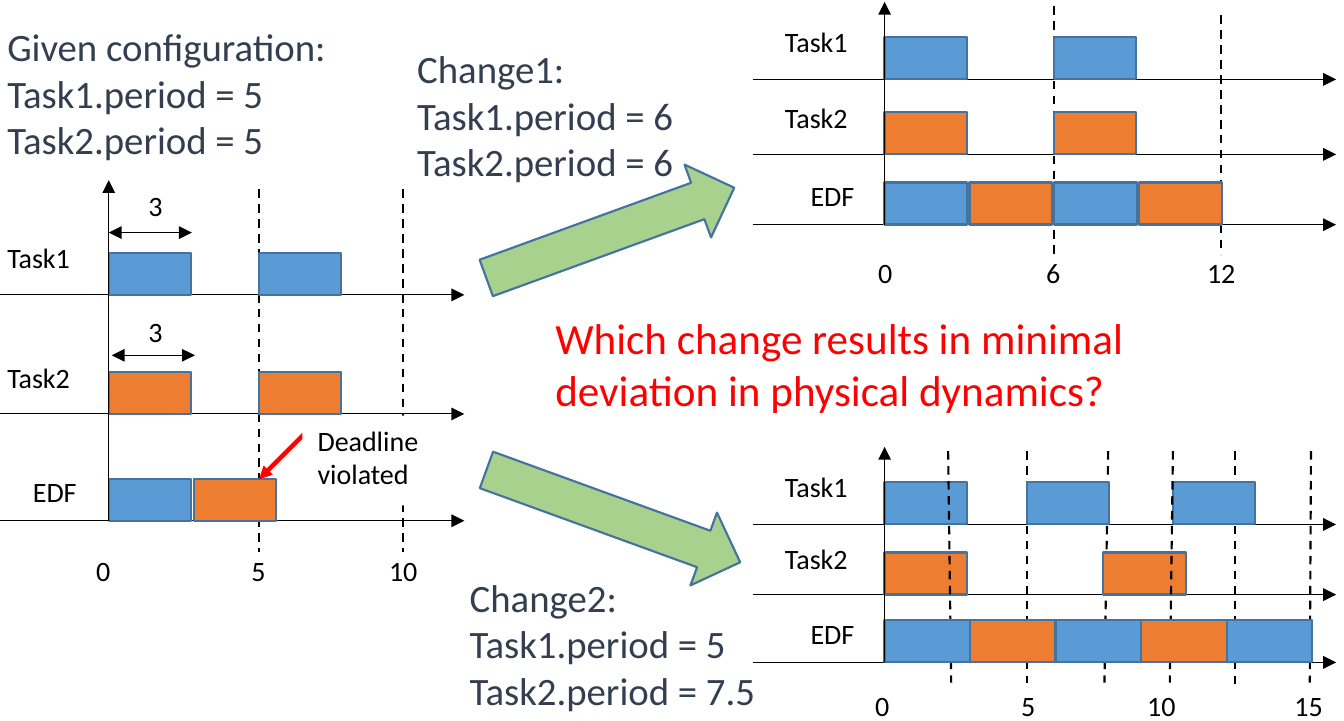
from lxml import etree
from pptx import Presentation
from pptx.dml.color import RGBColor
from pptx.enum.dml import MSO_LINE
from pptx.enum.shapes import MSO_CONNECTOR, MSO_SHAPE
from pptx.enum.text import PP_ALIGN
from pptx.oxml.ns import qn
from pptx.util import Cm, Pt

RECT = MSO_SHAPE.RECTANGLE
ARROW = MSO_SHAPE.RIGHT_ARROW
LINE = MSO_CONNECTOR.STRAIGHT
DASH = MSO_LINE.DASH
LEFT = PP_ALIGN.LEFT
MID = PP_ALIGN.CENTER


class Theme:
    font = "Calibri"
    blue = RGBColor.from_string("5B9BD5")
    orange = RGBColor.from_string("ED7D31")
    edge = RGBColor.from_string("43739E")
    green = RGBColor.from_string("A9D18E")
    slate = RGBColor.from_string("333F50")
    red = RGBColor.from_string("FF0000")
    black = RGBColor.from_string("000000")
    white = RGBColor.from_string("FFFFFF")
    small, body, large = Pt(13), Pt(18), Pt(20)
    thin, mid, thick = Pt(0.5), Pt(1), Pt(2)


def add_text(shapes, words, x, y, w, h, size=Theme.small, color=Theme.black, align=LEFT):
    box = shapes.add_textbox(Cm(x), Cm(y), Cm(w), Cm(h))
    frame = box.text_frame
    frame.word_wrap = True
    frame.text = words
    for para in frame.paragraphs:
        para.alignment = align
        para.font.name = Theme.font
        para.font.size = size
        para.font.color.rgb = color
    return box


def add_line(shapes, x1, y1, x2, y2, width=Theme.thin, color=Theme.black, dash=None, ends=()):
    line = shapes.add_connector(LINE, Cm(x1), Cm(y1), Cm(x2), Cm(y2))
    line.line.width = width
    line.line.color.rgb = color
    if dash:
        line.line.dash_style = dash
    props = line._element.spPr
    for end in ends:
        etree.SubElement(props.find(qn("a:ln")), qn(end), type="triangle")
    etree.SubElement(props, qn("a:effectLst"))


HEAD, TAIL = "a:headEnd", "a:tailEnd"
BAR = 0.69

plans = [
    dict(
        zero=14.48, left=12.32, right=21.87, top=0.03, rows=[1.3, 2.53, 3.68], label=12.6,
        tasks=[[14.48, 17.25], [14.48, 17.25]], slots=4, step=1.39, wide=1.35,
        back=[(17.25, 17.25, 0.1, 4.17), (19.99, 19.99, 0.25, 4.17)], front=[],
        ticks=[("0", 14.49), ("6", 17.24), ("12", 19.99)], foot=4.06,
    ),
    dict(
        zero=1.78, left=-0.38, right=7.6, top=2.95, rows=[4.83, 6.78, 8.53], label=-0.13,
        tasks=[[1.78, 4.24], [1.78, 4.24]], slots=2, step=1.39, wide=1.35,
        back=[(4.24, 4.24, 3.1, 9.04), (6.6, 6.6, 3.1, 9.04)], front=[],
        ticks=[("0", 1.69), ("5", 4.23), ("10", 6.6)], foot=8.94,
    ),
    dict(
        zero=14.48, left=12.32, right=21.87, top=7.32, rows=[8.59, 9.74, 10.85], label=12.6,
        tasks=[[14.48, 16.81, 19.2], [14.48, 18.06]], slots=5, step=1.4, wide=1.4,
        back=[(18.14, 18.08, 7.39, 11.18), (16.81, 16.81, 7.39, 11.18),
              (20.22, 20.22, 7.39, 11.3), (21.46, 21.44, 7.39, 11.18)],
        front=[(15.52, 15.57, 7.39, 11.18), (19.2, 19.15, 7.39, 11.18)],
        ticks=[("0", 14.44), ("5", 16.83), ("10", 19.01), ("15", 21.42)], foot=11.16,
    ),
]

deck = Presentation()
deck.slide_width, deck.slide_height = Cm(22), Cm(11.81)
slide = deck.slides.add_slide(deck.slide_layouts[6])
shapes = slide.shapes
fills = [Theme.blue, Theme.orange]

for y, turn, wide in [(3.18, -20, 4.32), (7.82, 20, 4.42)]:
    arrow = shapes.add_shape(ARROW, Cm(7.83), Cm(y), Cm(wide), Cm(1.27))
    arrow.rotation = turn
    arrow.shadow.inherit = False
    arrow.fill.solid()
    arrow.fill.fore_color.rgb = Theme.green
    arrow.line.color.rgb = Theme.edge
    arrow.line.width = Theme.mid

for plan in plans:
    group = shapes.add_group_shape().shapes
    rows = plan["rows"]
    task_bars = [(x, row, 1.35, fill)
                 for starts, row, fill in zip(plan["tasks"], rows, fills) for x in starts]
    edf_bars = [(plan["zero"] + i * plan["step"], rows[2], plan["wide"], fills[i % 2])
                for i in range(plan["slots"])]
    for row in rows:
        add_line(group, plan["left"], row, plan["right"], row, ends=[TAIL])
    for marks, bars in [(plan["back"], task_bars), (plan["front"], edf_bars)]:
        for x1, x2, top, end in marks:
            add_line(group, x1, top, x2, end, Theme.mid, dash=DASH)
        for x, row, wide, fill in bars:
            bar = group.add_shape(RECT, Cm(x), Cm(row - BAR), Cm(wide), Cm(BAR))
            bar.shadow.inherit = False
            bar.fill.solid()
            bar.fill.fore_color.rgb = fill
            bar.line.color.rgb = Theme.edge
            bar.line.width = Theme.mid
    add_line(group, plan["zero"], rows[2], plan["zero"], plan["top"], ends=[TAIL])
    for name, row, shift, rise in zip(["Task1", "Task2", "EDF"], rows, [0, 0, 0.42], [1.02, 1, 0.88]):
        add_text(group, name, plan["label"] + shift, row - rise, 2 - shift, 1)
    for tick, x in plan["ticks"]:
        add_text(group, tick, x - 0.55, plan["foot"], 1.1, 1, align=MID)

for x, y, top in [(1.78, 3.81, 2.97), (1.83, 5.82, 5.03)]:
    add_line(shapes, x, y, x + 1.36, y, ends=[HEAD, TAIL])
    add_text(shapes, "3", 2.18, top, 0.74, 1)

add_line(shapes, 5.03, 7.06, 4.24, 7.85, Theme.thick, Theme.red, ends=[TAIL])
note = add_text(shapes, "Deadline violated", 4.95, 6.81, 2.41, 1.47)
note.fill.solid()
note.fill.fore_color.rgb = Theme.white

for words, x, y in [
    ("Given configuration:\nTask1.period = 5\nTask2.period = 5", -0.13, 0.25),
    ("Change1:\nTask1.period = 6\nTask2.period = 6", 6.58, 0.61),
    ("Change2:\nTask1.period = 5\nTask2.period = 7.5", 7.44, 9.27),
]:
    add_text(shapes, words, x, y, 6, 2.57, Theme.body, Theme.slate)

add_text(shapes, "Which change results in minimal deviation in physical dynamics?",
         8.84, 4.98, 10.21, 1.96, Theme.large, Theme.red)

deck.save("out.pptx")
